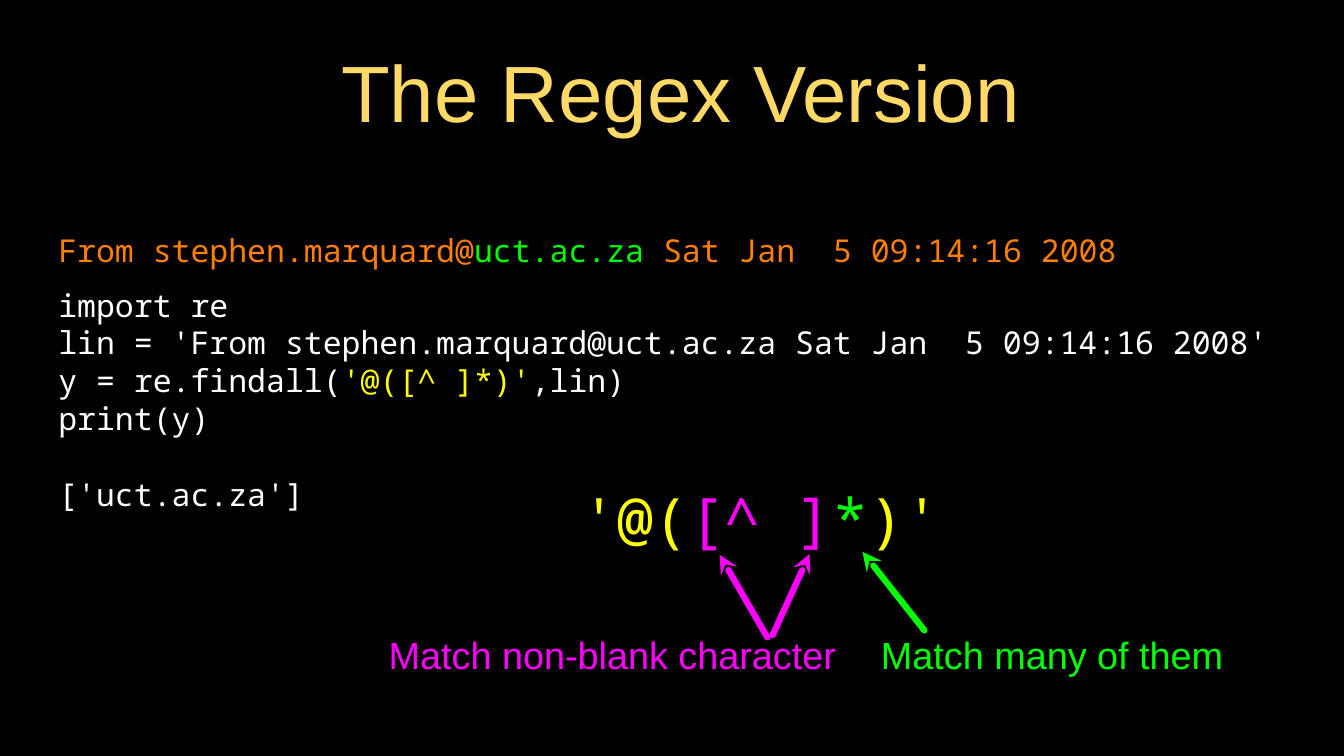
from dataclasses import dataclass

from lxml import etree
from pptx import Presentation
from pptx import util as u
from pptx.dml import color
from pptx.enum import shapes, text
from pptx.oxml import ns


@dataclass(frozen=True)
class Theme:
    """Colours, fonts and type sizes of the slide."""
    black: str = "000000"
    white: str = "FFFFFF"
    gold: str = "FFD966"
    yellow: str = "FFFF00"
    pink: str = "FF00FF"
    green: str = "00FF00"
    orange: str = "FF7F00"
    sans: str = "Arial"
    mono: str = "Noto Sans Mono"
    title: int = 76
    regex: int = 57
    label: int = 36
    code: int = 30
    stroke: int = 6


T = Theme()


def rgb(tint):
    """Turn a hex string into a colour."""
    return color.RGBColor.from_string(tint)


def add_text(slide, box, lines, face, size, center=False):
    """Add a text box whose lines are lists of (words, colour) pairs."""
    frame = slide.shapes.add_textbox(*map(u.Cm, box)).text_frame
    frame.word_wrap = True
    frame.vertical_anchor = text.MSO_ANCHOR.MIDDLE
    frame.margin_left = frame.margin_right = 0
    frame.margin_top = frame.margin_bottom = 0
    for row, line in enumerate(lines):
        para = frame.add_paragraph() if row else frame.paragraphs[0]
        para.alignment = text.PP_ALIGN.CENTER if center else text.PP_ALIGN.LEFT
        for words, tint in line:
            run = para.add_run()
            run.text = words
            run.font.name = face
            run.font.size = u.Pt(size)
            run.font.color.rgb = rgb(tint)
    return frame


def add_arrow(slide, tip, tail, tint):
    """Add a round-ended line with a stealth head at its tip."""
    arrow = slide.shapes.add_connector(
        shapes.MSO_CONNECTOR.STRAIGHT, *map(u.Cm, tip + tail))
    arrow.line.color.rgb = rgb(tint)
    arrow.line.width = u.Pt(T.stroke)
    line = arrow.line._get_or_add_ln()
    line.set("cap", "rnd")
    etree.SubElement(line, ns.qn("a:round"))
    etree.SubElement(line, ns.qn("a:headEnd"), type="stealth")
    etree.SubElement(arrow._element.spPr, ns.qn("a:effectLst"))


def add_label(slide, left, width, words, tint):
    """Add a centred label below the pattern."""
    add_text(slide, (left, 21.11, width, 1.73), [[(words, tint)]],
             T.sans, T.label, center=True)


def add_code(slide, top, width, height, lines):
    """Add left-aligned lines of code."""
    return add_text(slide, (1.96, top, width, height), lines, T.mono, T.code)


def main():
    """Build and save the slide."""
    deck = Presentation()
    deck.slide_width, deck.slide_height = u.Cm(45.16), u.Cm(25.4)
    slide = deck.slides.add_slide(deck.slide_layouts[6])
    slide.background.fill.solid()
    slide.background.fill.fore_color.rgb = rgb(T.black)

    add_text(slide, (3.51, 0.64, 38.71, 4.8),
             [[("The Regex Version", T.gold)]], T.sans, T.title, center=True)

    add_code(slide, 7.47, 39.52, 1.88, [[
        ("From stephen.marquard@", T.orange), ("uct.ac.za", T.green),
        (" Sat Jan  5 09:14:16 2008", T.orange)]])
    code = add_code(slide, 9.8, 41.45, 7.21, [
        [("import re", T.white)],
        [("lin = 'From stephen.marquard@uct.ac.za Sat Jan  5 09:14:16 2008'",
          T.white)],
        [("y = re.findall(", T.white), ("'@([^ ]*)'", T.yellow),
         (",lin)", T.white)],
        [("print(y)", T.white)],
        [("['uct.ac.za']", T.white)]])
    code.paragraphs[-1].space_before = u.Pt(36)

    add_text(slide, (19.53, 16.18, 12.19, 2.44), [[
        ("'@(", T.yellow), ("[^ ]", T.pink), ("*", T.green),
        (")'", T.yellow)]], T.mono, T.regex)
    add_label(slide, 12.07, 17.02, "Match non-blank character", T.pink)
    add_label(slide, 28.52, 13.67, "Match many of them", T.green)

    for tip, tail, tint in (
            ((24.18, 18.64), (25.78, 21.41), T.pink),
            ((27.2, 18.62), (25.96, 21.34), T.pink),
            ((28.98, 18.54), (31.06, 21.18), T.green)):
        add_arrow(slide, tip, tail, tint)

    deck.save("out.pptx")


if __name__ == "__main__":
    main()
